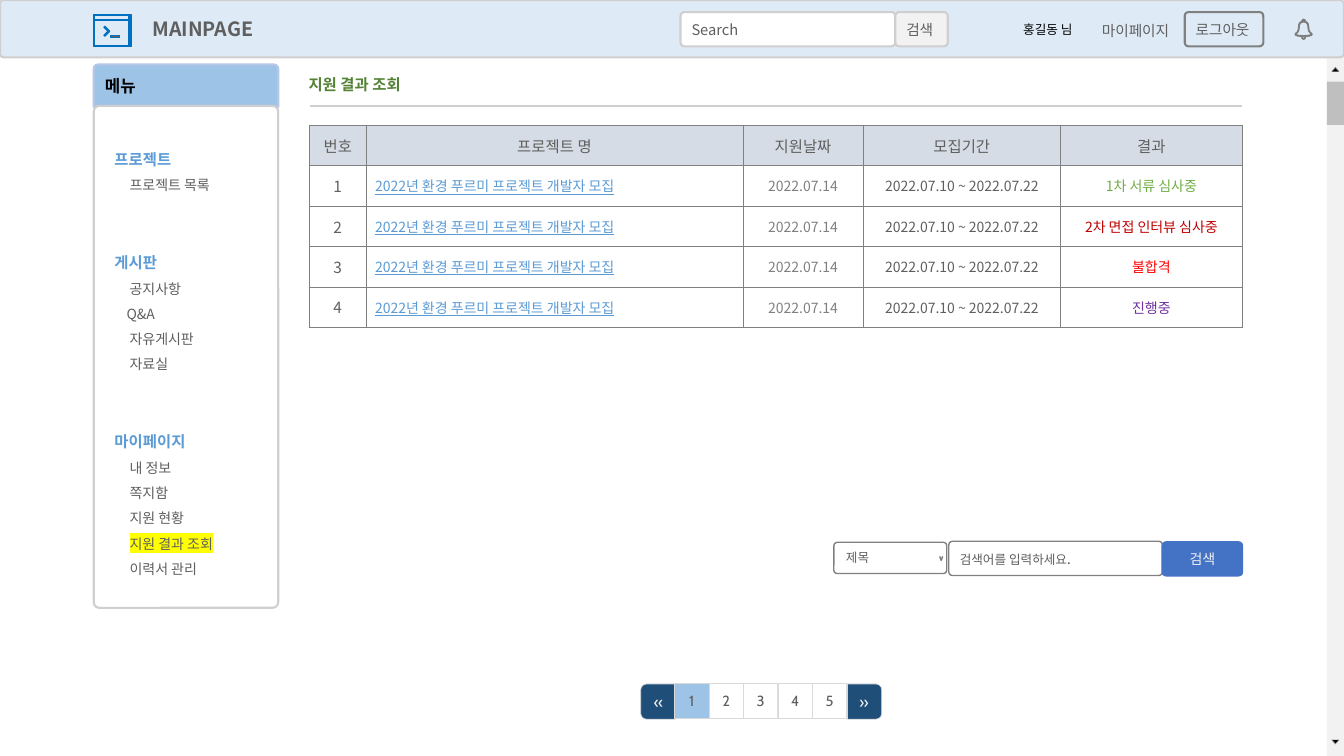
from lxml.etree import SubElement
from pptx import Presentation
from pptx.dml.color import RGBColor
from pptx.enum.shapes import MSO_CONNECTOR, MSO_SHAPE
from pptx.enum.text import MSO_ANCHOR, MSO_AUTO_SIZE, PP_ALIGN
from pptx.oxml.ns import qn
from pptx.util import Inches, Pt

KR, CABIN = "Noto Sans CJK KR", "Cabin"
GRAY, MID, PALE, EDGE = "5F5F5F", "808080", "F2F2F2", "D0CECE"
SKY, BLUE, ICE, NAVY = "9DC3E6", "5B9BD5", "DEEBF7", "1F4E79"
WHITE, BLACK = "FFFFFF", "000000"
ROUND, TAB, RECT = (MSO_SHAPE.ROUNDED_RECTANGLE, MSO_SHAPE.ROUND_2_SAME_RECTANGLE,
                    MSO_SHAPE.RECTANGLE)
LEFT, CENTER = PP_ALIGN.LEFT, PP_ALIGN.CENTER
TOP, MIDDLE = MSO_ANCHOR.TOP, MSO_ANCHOR.MIDDLE


def rgb(color):
    return RGBColor.from_string(color)


class Page:
    """Holds the text style and the slide being drawn."""

    def __init__(self, slide, font=KR, color=GRAY):
        self.s, self.font, self.color = slide, font, color

    def run(self, p, text, size, color=None, bold=False, font=None,
            underline=False, highlight=None):
        r = p.add_run()
        r.text = text
        f = r.font
        f.name, f.size, f.bold = font or self.font, Pt(size), bold
        f.underline = underline
        f.color.rgb = rgb(color or self.color)
        latin = f._element.find(qn("a:latin"))
        ea = SubElement(f._element, qn("a:ea"))
        ea.set("typeface", f.name)
        latin.addnext(ea)
        if highlight:
            mark = SubElement(f._element, qn("a:highlight"))
            SubElement(mark, qn("a:srgbClr")).set("val", highlight)
            latin.addprevious(mark)

    def frame(self, tf, ins=(0.1, 0.05, 0.1, 0.05), anchor=MIDDLE, align=LEFT):
        tf.auto_size, tf.word_wrap = MSO_AUTO_SIZE.NONE, True
        tf.vertical_anchor = anchor
        tf.margin_left, tf.margin_top, tf.margin_right, tf.margin_bottom = map(Inches, ins)
        p = tf.paragraphs[0]
        p.alignment = align
        return p

    def paint(self, sp, fill=None, line=None, width=1.5):
        sp.shadow.inherit = False
        if fill:
            sp.fill.solid()
            sp.fill.fore_color.rgb = rgb(fill)
        else:
            sp.fill.background()
        if line:
            sp.line.color.rgb, sp.line.width = rgb(line), Pt(width)
        else:
            sp.line.fill.background()

    def shape(self, kind, box, fill, line=None, width=1.5, adj=()):
        sp = self.s.shapes.add_shape(kind, *map(Inches, box))
        self.paint(sp, fill, line, width)
        for i, value in enumerate(adj):
            sp.adjustments[i] = value
        return sp

    def field(self, box, text, size, fill, line=None, width=1.5, color=None,
              ins=(0.1, 0.07, 0.1, 0.07), align=LEFT):
        sp = self.shape(ROUND, box, fill, line, width, [0.11])
        p = self.frame(sp.text_frame, ins, align=align)
        self.run(p, text, size, color)
        return p

    def label(self, box, text, size, color):
        tf = self.s.shapes.add_textbox(*map(Inches, box)).text_frame
        self.run(self.frame(tf, anchor=TOP), text, size, color)

    def title(self, box, text, size, color):
        sp = self.s.shapes.title
        sp.left, sp.top, sp.width, sp.height = map(Inches, box)
        self.run(self.frame(sp.text_frame, anchor=TOP), text, size, color, True)

    def rule(self, x1, y1, x2, y2, color, width):
        c = self.s.shapes.add_connector(MSO_CONNECTOR.STRAIGHT, *map(Inches, (x1, y1, x2, y2)))
        c.line.color.rgb, c.line.width = rgb(color), Pt(width)
        SubElement(c._element.spPr, qn("a:effectLst"))

    def outline(self, contours, fill, line, width, close=True):
        unit = 1000  # drawing units per inch
        paths = [[(round(x * unit), round(y * unit)) for x, y in c] for c in contours]
        fb = self.s.shapes.build_freeform(*paths[0][0], scale=Inches(1) / unit)
        for i, points in enumerate(paths):
            if i:
                fb.move_to(*points[0])
            fb.add_line_segments(points[1:], close=close)
        self.paint(fb.convert_to_shape(), fill, line, width)

    def arrow(self, x, y, w, h, fill, line, width):
        self.outline([[(x, y), (x + w / 2, y + h), (x + w, y)]], fill, line, width, False)

    def cell(self, cell, text, size, color=None, fill=None, align=CENTER, underline=False):
        cell.margin_left = cell.margin_right = Inches(0.09)
        cell.margin_top = cell.margin_bottom = Inches(0.09)
        cell.vertical_anchor = MIDDLE
        if fill:
            cell.fill.solid()
            cell.fill.fore_color.rgb = rgb(fill)
        else:
            cell.fill.background()
        tcPr = cell._tc.get_or_add_tcPr()
        for i, side in enumerate(("lnL", "lnR", "lnT", "lnB")):
            ln = SubElement(tcPr, qn("a:" + side), w=str(Pt(0.5)))
            SubElement(SubElement(ln, qn("a:solidFill")), qn("a:srgbClr")).set("val", MID)
            tcPr.insert(i, ln)
        p = cell.text_frame.paragraphs[0]
        p.alignment = align
        self.run(p, text, size, color, underline=underline)


def box_path(x1, y1, x2, y2):
    return [(x1, y1), (x2, y1), (x2, y2), (x1, y2)]


def mirrored(half, cx=12.93):
    """Close a left half, given in hundredths of an inch, about the axis cx."""
    return ([(cx - dx / 100, y / 100) for dx, y in half]
            + [(cx + dx / 100, y / 100) for dx, y in reversed(half)])


prs = Presentation()
prs.slide_width, prs.slide_height = Inches(13.33), Inches(7.5)
s = prs.slides.add_slide(prs.slide_layouts[5])
page = Page(s)

# Scroll bar
page.shape(RECT, (13.16, 0.57, 0.17, 6.93), PALE)
page.arrow(13.21, 7.34, 0.07, 0.04, BLACK, MID, 0.5)
page.arrow(13.21, 0.71, 0.07, -0.04, BLACK, MID, 0.5)
page.shape(RECT, (13.16, 0.81, 0.17, 0.43), "BFBFBF")

# Title
page.title((2.96, 0.69, 1.73, 0.29), "지원 결과 조회", 11, "548235")
page.rule(3.07, 1.05, 12.32, 1.05, EDGE, 1.5)

# Header bar
bar = page.shape(ROUND, (0, 0, 13.33, 0.57), ICE, EDGE, adj=[0.07])
page.run(page.frame(bar.text_frame, (1.5, 0.05, 0.14, 0.05)), "MAINPAGE", 14, bold=True)
page.field((6.75, 0.12, 2.13, 0.34), "Search", 10.5, WHITE, EDGE)
page.field((8.88, 0.12, 0.52, 0.34), "검색", 10.5, PALE, EDGE)
page.field((11.75, 0.12, 0.78, 0.34), "로그아웃", 10.5, ICE, MID)
page.field((10.82, 0.13, 0.91, 0.34), "마이페이지", 10.5, ICE)
page.label((10.05, 0.17, 0.86, 0.25), "홍길동 님", 9, BLACK)

# Terminal icon
chevron = [(1.04, 0.26), (1.03, 0.27), (1.07, 0.31), (1.03, 0.35), (1.04, 0.36), (1.09, 0.31)]
page.outline([box_path(0.93, 0.14, 1.3, 0.46), box_path(0.94, 0.15, 1.28, 0.19),
              box_path(0.94, 0.2, 1.28, 0.45), chevron, box_path(1.1, 0.35, 1.19, 0.37)],
             GRAY, "0070C0", 0.75)

# Bell icon
bell = [(0, 19), (1.2, 19.5), (1.8, 20.5), (1.8, 21.2), (3.5, 22), (4.8, 24), (5, 26),
        (5.5, 30), (6.5, 32), (8, 33), (8.5, 34), (8, 35), (6, 35.8), (2, 36.3),
        (1.8, 37.5), (1.2, 38.7), (0, 39)]
knob = [(0, 20), (0.8, 20.5), (0.6, 21.2), (0, 21)]
body = [(0, 21.8), (2.5, 22.5), (4, 24.5), (4.2, 26.5), (4.8, 30.5), (6, 32.5),
        (7.5, 33.7), (7, 34.5), (5, 35), (0, 35.4)]
clapper = [(0, 36.3), (1.2, 36.3), (1, 37.7), (0, 38.5)]
page.outline([mirrored(half) for half in (bell, knob, body, clapper)], GRAY, MID, 0.75)

# Side menu
head = page.shape(TAB, (0.93, 0.64, 1.83, 0.42), SKY, "B4C7E7", adj=[0.1, 0])
page.run(page.frame(head.text_frame, (0.1,) * 4, TOP), "메뉴", 12, BLACK, True)
menu = {
    "프로젝트": ["프로젝트 목록"],
    "게시판": ["공지사항", "Q&A", "자유게시판", "자료실"],
    "마이페이지": ["내 정보", "쪽지함", "지원 현황", "지원 결과 조회", "이력서 관리"],
}
panel = page.shape(ROUND, (0.93, 1.05, 1.83, 4.98), WHITE, EDGE, adj=[0.03])
tf = panel.text_frame
p = page.frame(tf, (0.19, 0.33, 0.19, 0.08), TOP)
for n, (group, items) in enumerate(menu.items()):
    if n:
        p = tf.add_paragraph()
        p.space_before = Pt(36)
    p.alignment, p.line_spacing = LEFT, 1.5
    page.run(p, group, 11, BLUE, True)
    for item in items:
        p = tf.add_paragraph()
        p.alignment, p.line_spacing = LEFT, 1.5
        p._p.get_or_add_pPr().set("marL", str(Inches(0.12 if item == "Q&A" else 0.15)))
        page.run(p, item, 10, highlight="FFFF00" if item == "지원 결과 조회" else None)

# Results table
heads = ["번호", "프로젝트 명", "지원날짜", "모집기간", "결과"]
results = [("1차 서류 심사중", "70AD47"), ("2차 면접 인터뷰 심사중", "C00000"),
           ("불합격", "FF0000"), ("진행중", "7030A0")]
table = s.shapes.add_table(5, 5, *map(Inches, (3.07, 1.24, 9.25, 1.82))).table
table.first_row = table.horz_banding = False
for col, width, text in zip(table.columns, (0.56, 3.74, 1.19, 1.96, 1.8), heads):
    col.width = Inches(width)
for c, text in enumerate(heads):
    page.cell(table.cell(0, c), text, 11, fill="D6DCE5")
for n, (result, color) in enumerate(results, 1):
    page.cell(table.cell(n, 0), str(n), 11)
    page.cell(table.cell(n, 1), "2022년 환경 푸르미 프로젝트 개발자 모집", 10, BLUE,
              align=LEFT, underline=True)
    page.cell(table.cell(n, 2), "2022.07.14", 10, MID)
    page.cell(table.cell(n, 3), "2022.07.10 ~ 2022.07.22", 10)
    page.cell(table.cell(n, 4), result, 10, color)

# Page numbers
step = (8.4 - 6.35) / 6
for i, text in enumerate("«12345»"):
    x, end = 6.35 + i * step, text in "«»"
    if end:
        sp = page.shape(TAB, (x, 6.79, 0.35, 0.34), NAVY, "D9D9D9", 0.5)
        sp.rotation = 90 if i else 270
        sp.text_frame._txBody.bodyPr.set("vert", "vert270" if i else "vert")
    else:
        sp = page.shape(RECT, (x, 6.78, 0.34, 0.35), SKY if i == 1 else WHITE, "D9D9D9", 0.5)
    p = page.frame(sp.text_frame, align=CENTER)
    page.run(p, text, 12 if end else 10.5, PALE if end else GRAY, font=CABIN)

# Search form
page.field((8.27, 5.38, 1.12, 0.31), "제목", 9, WHITE, MID, 1, ins=(0.11, 0.07, 0.3, 0.07))
page.arrow(9.32, 5.52, 0.03, 0.04, None, MID, 1)
p = page.field((9.41, 5.37, 2.12, 0.34), "검색어를 입력하세요", 9, WHITE, MID, 1)
page.run(p, ".", 10.5)
page.field((11.53, 5.38, 0.79, 0.33), "검색", 10, "4472C4", "4472C4", color=PALE, align=CENTER)

prs.save("out.pptx")
